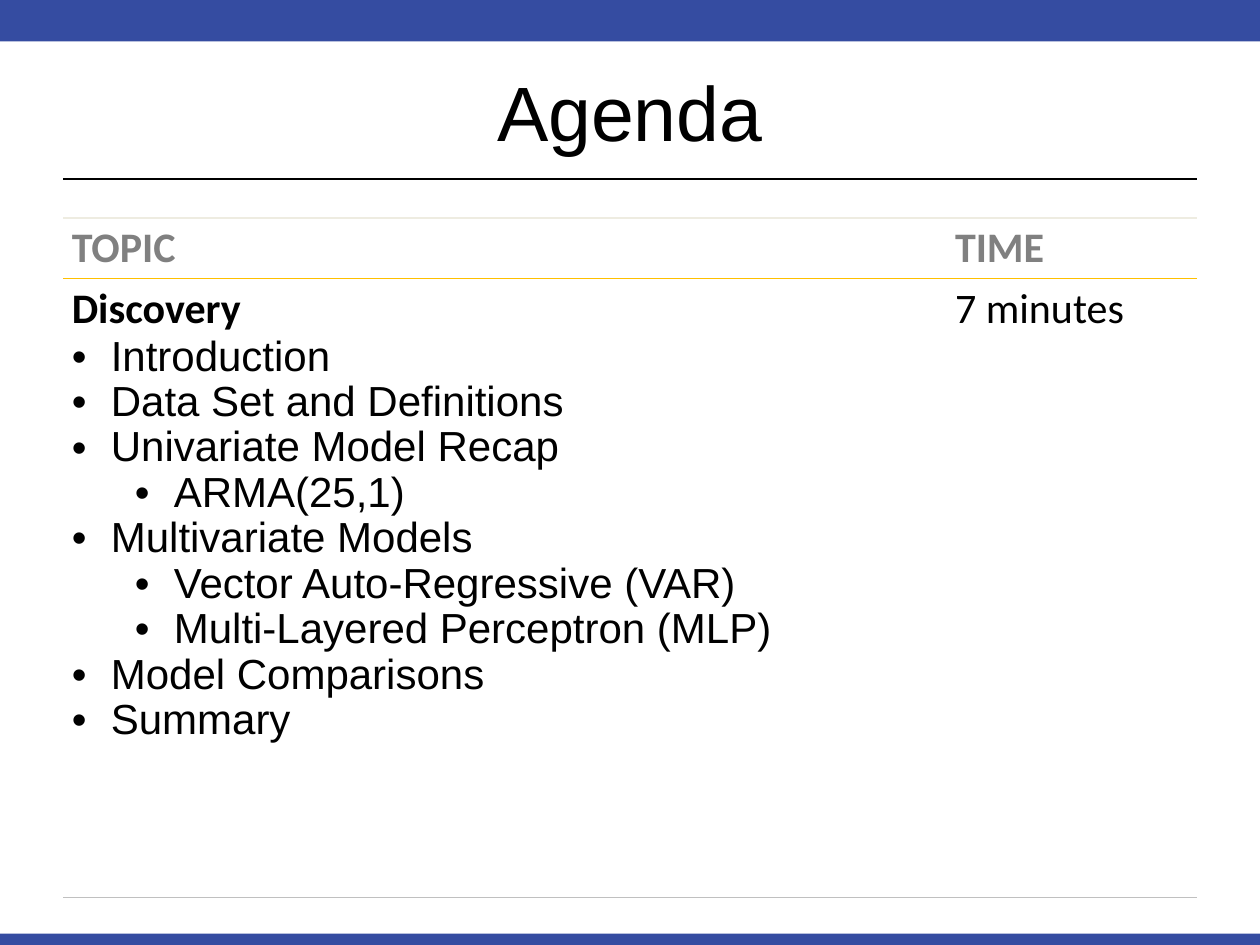
from lxml.etree import SubElement
from pptx import Presentation
from pptx.dml.color import RGBColor
from pptx.enum.shapes import MSO_CONNECTOR as Connector, MSO_SHAPE as Shape
from pptx.enum.text import MSO_ANCHOR as Anchor, PP_ALIGN as Align
from pptx.oxml.ns import qn
from pptx.util import Inches, Pt

BLUE = RGBColor(0x35, 0x4C, 0xA1)
BLACK = RGBColor(0x00, 0x00, 0x00)
GRAY = RGBColor(0x80, 0x80, 0x80)
SILVER = RGBColor(0xC0, 0xC0, 0xC0)
CREAM = RGBColor(0xEE, 0xEC, 0xE1)
GOLD = RGBColor(0xFF, 0xC0, 0x00)
NO_GRID_STYLE = "{2D5ABB26-0587-4C30-8999-92F81FD0307C}"

TOPICS = [
    ("Introduction", 0),
    ("Data Set and Definitions", 0),
    ("Univariate Model Recap", 0),
    ("ARMA(25,1)", 1),
    ("Multivariate Models", 0),
    ("Vector Auto-Regressive (VAR)", 1),
    ("Multi-Layered Perceptron (MLP)", 1),
    ("Model Comparisons", 0),
    ("Summary", 0),
]


def style_font(paragraph, size, name, color, bold=False):
    """Set the font of a whole paragraph."""
    font = paragraph.font
    font.size, font.name, font.bold = Pt(size), name, bold
    font.color.rgb = color


def add_band(slide, left, top, width, height):
    """Draw a plain blue band."""
    band = slide.shapes.add_shape(Shape.RECTANGLE, left, top, width, height)
    band.shadow.inherit = False
    band.fill.solid()
    band.fill.fore_color.rgb = BLUE
    band.line.fill.background()


def add_title(slide, left, top, width, height):
    """Place the title and the rule beneath it."""
    rule_top = top + height - Inches(0.08)
    rule = slide.shapes.add_connector(
        Connector.STRAIGHT, left, rule_top, left + width, rule_top)
    rule.line.color.rgb = BLACK
    rule.line.width = Pt(1.25)
    SubElement(rule._element.spPr, qn("a:effectLst"))

    frame = slide.shapes.add_textbox(left, top, width, height).text_frame
    frame.word_wrap = True
    frame.vertical_anchor = Anchor.MIDDLE
    paragraph = frame.paragraphs[0]
    paragraph.text = "Agenda"
    paragraph.alignment = Align.CENTER
    style_font(paragraph, 44, "Arial", BLACK)


def set_border(cell, side, color, width):
    """Give one side of a cell a solid line."""
    line = SubElement(cell._tc.get_or_add_tcPr(), qn(f"a:{side}"), w=str(Pt(width)))
    fill = SubElement(line, qn("a:solidFill"))
    SubElement(fill, qn("a:srgbClr"), val=str(color))


def format_cell(cell, text, color, bold, top_border, bottom_border):
    """Fill a cell with its first paragraph, margins and borders."""
    cell.margin_left = cell.margin_right = Inches(0.07)
    cell.margin_top = cell.margin_bottom = Inches(0.04)
    set_border(cell, "lnT", *top_border)
    set_border(cell, "lnB", *bottom_border)
    cell.fill.background()
    paragraph = cell.text_frame.paragraphs[0]
    paragraph.text = text
    style_font(paragraph, 24, "Calibri", color, bold)


def add_bullet(frame, text, level):
    """Append one bulleted topic at the given level."""
    paragraph = frame.add_paragraph()
    paragraph.text = text
    paragraph.level = level
    paragraph.line_spacing = 0.97
    style_font(paragraph, 24, "Arial", BLACK)
    properties = paragraph._p.get_or_add_pPr()
    properties.set("marL", str(Inches(0.31 + 0.5 * level)))
    properties.set("indent", str(Inches(-0.31)))
    bullet_font = SubElement(properties, qn("a:buFont"), typeface="Arial")
    bullet_font.addnext(SubElement(properties, qn("a:buChar"), char="•"))
    properties.append(properties.find(qn("a:defRPr")))


def add_agenda(slide, left, top, width, height):
    """Place the table of topics and times."""
    frame = slide.shapes.add_table(2, 2, left, top, width, height)
    table = frame.table
    table.horz_banding = table.first_row = False
    table._tbl.tblPr.find(qn("a:tableStyleId")).text = NO_GRID_STYLE
    time_width, header_height = Inches(1.99), Inches(0.48)
    table.columns[0].width, table.columns[1].width = width - time_width, time_width
    table.rows[0].height, table.rows[1].height = header_height, height - header_height

    edge, divider, base = (CREAM, 1), (GOLD, 1), (SILVER, 0.75)
    for column, text in enumerate(("TOPIC", "TIME")):
        format_cell(table.cell(0, column), text, GRAY, True, edge, divider)
    for column, text in enumerate(("Discovery", "7 minutes")):
        format_cell(table.cell(1, column), text, BLACK, column == 0, divider, base)
    for text, level in TOPICS:
        add_bullet(table.cell(1, 0).text_frame, text, level)


def main():
    """Build the agenda slide."""
    presentation = Presentation()
    presentation.slide_width, presentation.slide_height = Inches(10), Inches(7.5)
    slide = presentation.slides.add_slide(presentation.slide_layouts[6])
    add_band(slide, 0, Inches(7.41), Inches(10), Inches(0.1))
    add_band(slide, 0, 0, Inches(10), Inches(0.33))
    add_title(slide, Inches(0.5), Inches(0.25), Inches(9), Inches(1.25))
    add_agenda(slide, Inches(0.5), Inches(1.73), Inches(9), Inches(5.39))
    presentation.save("out.pptx")


if __name__ == "__main__":
    main()
